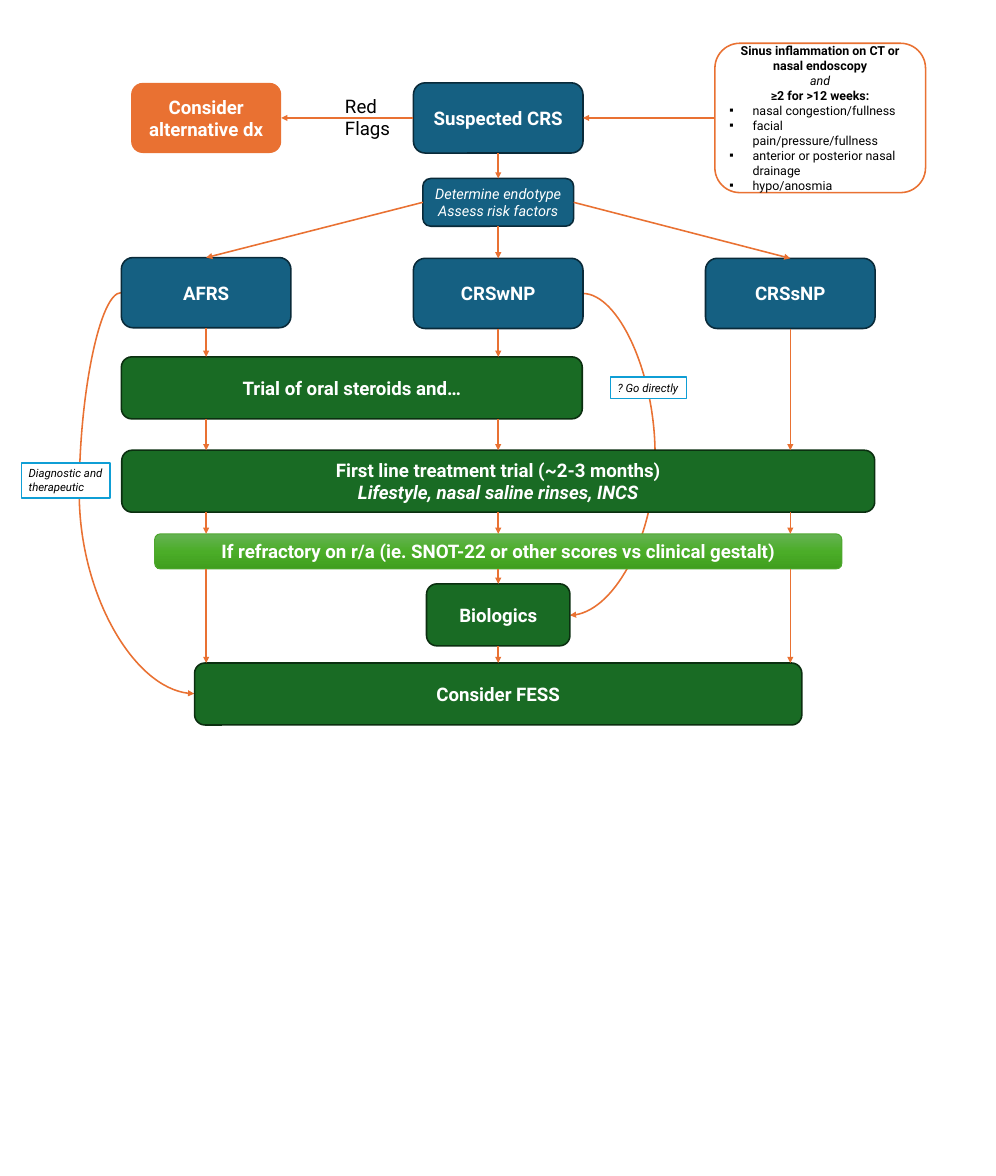
from copy import deepcopy

from pptx import Presentation
from pptx import util as u
from pptx.dml.color import RGBColor
from pptx.enum import shapes, text
from pptx.oxml.ns import qn
from pptx.oxml.xmlchemy import OxmlElement

COLOURS = {
    "white": "FFFFFF", "black": "000000", "orange": "E97132",
    "blue": "156082", "navy": "092A39", "green": "196B24",
    "forest": "0B2F10", "lime": "4EA72E", "sky": "0F9ED5",
    "gradient top": "66B354", "gradient middle": "4BAD28", "gradient bottom": "409F1E",
}
LEFT, CENTRE, RIGHT = 2.76, 6.67, 10.58
TOP_SIDE, LEFT_SIDE, BOTTOM_SIDE, RIGHT_SIDE = range(4)


def rgb(name):
    return RGBColor.from_string(COLOURS[name])


def add_child(parent, tag, **attributes):
    child = OxmlElement(tag)
    for key, value in attributes.items():
        child.set(key, str(value))
    parent.append(child)
    return child


def write(shape, lines, size=18, colour="white", bold=False, italic=False, centred=True):
    frame = shape.text_frame
    frame.word_wrap = True
    for index, line in enumerate(lines):
        words, style = line if isinstance(line, tuple) else (line, {})
        para = frame.paragraphs[0] if index == 0 else frame.add_paragraph()
        bullet = style.get("bullet", False)
        centre = centred and not bullet
        para.alignment = text.PP_ALIGN.CENTER if centre else text.PP_ALIGN.LEFT
        if bullet:
            properties = para._p.get_or_add_pPr()
            properties.set("marL", str(u.Inches(0.31)))
            properties.set("indent", str(-u.Inches(0.31)))
            add_child(properties, "a:buFont", typeface="Arial")
            add_child(properties, "a:buChar", char="▪")
        span = para.add_run()
        span.text = words
        span.font.name = "Roboto"
        span.font.size = u.Pt(size)
        span.font.bold = style.get("bold", bold)
        span.font.italic = style.get("italic", italic)
        span.font.color.rgb = rgb(colour)


def add_box(slide, centre, top, width, height, lines, fill, outline=None,
            rounded=True, line_width=1.5, **style):
    kind = shapes.MSO_SHAPE.ROUNDED_RECTANGLE if rounded else shapes.MSO_SHAPE.RECTANGLE
    box = slide.shapes.add_shape(kind, u.Inches(centre - width / 2), u.Inches(top),
                                 u.Inches(width), u.Inches(height))
    box.shadow.inherit = False
    box.fill.solid()
    box.fill.fore_color.rgb = rgb(fill)
    if outline:
        box.line.color.rgb = rgb(outline)
        box.line.width = u.Pt(line_width)
    else:
        box.line.fill.background()
    box.text_frame.vertical_anchor = text.MSO_ANCHOR.MIDDLE
    write(box, lines, **style)
    return box


def add_label(slide, centre, top, width, height, words):
    label = add_box(slide, centre, top, width, height, [words], "white", "sky",
                    rounded=False, size=11, colour="black", italic=True, centred=False)
    label.text_frame.vertical_anchor = text.MSO_ANCHOR.TOP


def add_gradient(box):
    box.fill.gradient()
    box.fill.gradient_angle = 270
    stop_list = box._element.spPr.find(qn("a:gradFill")).find(qn("a:gsLst"))
    stop_list.insert(1, deepcopy(stop_list[0]))
    names = ("gradient top", "gradient middle", "gradient bottom")
    for stop, name, position in zip(box.fill.gradient_stops, names, (0, 0.5, 1)):
        stop.color.rgb = rgb(name)
        stop.position = position


def add_arrow(slide, start, end, kind=shapes.MSO_CONNECTOR.STRAIGHT):
    arrow = slide.shapes.add_connector(kind, *(u.Inches(v) for v in (*start, *end)))
    arrow.line.color.rgb = rgb("orange")
    arrow.line.width = u.Pt(1.5)
    add_child(arrow.line._get_or_add_ln(), "a:tailEnd", type="triangle")
    add_child(arrow._element.spPr, "a:effectLst")
    return arrow


def add_curve(slide, start, end, bulge):
    curve = add_arrow(slide, start, end, shapes.MSO_CONNECTOR.CURVE)
    ratio = (bulge - start[0]) / (end[0] - start[0])
    guides = curve._element.spPr.find(qn("a:prstGeom")).get_or_add_avLst()
    add_child(guides, "a:gd", name="adj1", fmla=f"val {round(ratio * 100000)}")


def join(slide, source, source_side, target, target_side):
    arrow = add_arrow(slide, (0, 0), (1, 1))
    arrow.begin_connect(source, source_side)
    arrow.end_connect(target, target_side)


def drop(slide, column, upper, lower):
    bottom = u.Emu(upper.top + upper.height).inches
    arrow = add_arrow(slide, (column, bottom), (column, lower.top.inches))
    for box, connect, side in ((upper, arrow.begin_connect, BOTTOM_SIDE),
                               (lower, arrow.end_connect, TOP_SIDE)):
        if abs(u.Emu(box.left + box.width // 2).inches - column) < 0.02:
            connect(box, side)


def main():
    deck = Presentation()
    deck.slide_width = u.Inches(40 / 3)
    deck.slide_height = u.Inches(15.75)
    slide = deck.slides.add_slide(deck.slide_layouts[6])

    add_curve(slide, (7.8, 3.93), (7.63, 8.24), 8.77)
    add_curve(slide, (1.62, 3.92), (2.6, 9.29), 1.06)

    blue = {"fill": "blue", "outline": "navy"}
    green = {"fill": "green", "outline": "forest", "bold": True}

    suspected = add_box(slide, CENTRE, 1.11, 2.27, 0.94, ["Suspected CRS"], bold=True, **blue)
    criteria = add_box(slide, 10.98, 0.58, 2.82, 2, [
        ("Sinus inflammation on CT or nasal endoscopy", {"bold": True}),
        ("and", {"italic": True}),
        ("≥2 for >12 weeks:", {"bold": True}),
        *((symptom, {"bullet": True}) for symptom in (
            "nasal congestion/fullness", "facial pain/pressure/fullness",
            "anterior or posterior nasal drainage", "hypo/anosmia")),
    ], "white", "orange", size=12, colour="black")
    alternative = add_box(slide, LEFT, 1.11, 2.01, 0.94, ["Consider alternative dx"],
                          "orange", bold=True)
    endotype = add_box(slide, CENTRE, 2.39, 2.02, 0.64,
                       ["Determine endotype", "Assess risk factors"],
                       size=14, italic=True, **blue)
    afrs, with_polyps, without_polyps = (
        add_box(slide, column, top, 2.27, 0.94, [name], bold=True, **blue)
        for column, top, name in ((LEFT, 3.45, "AFRS"), (CENTRE, 3.46, "CRSwNP"),
                                  (RIGHT, 3.46, "CRSsNP")))

    steroids = add_box(slide, 4.71, 4.78, 6.17, 0.83, ["Trial of oral steroids and…"], **green)
    first_line = add_box(slide, CENTRE, 6.03, 10.08, 0.83, [
        "First line treatment trial (~2-3 months)",
        ("Lifestyle, nasal saline rinses, INCS", {"italic": True})], **green)
    refractory = add_box(
        slide, CENTRE, 7.15, 9.2, 0.47,
        ["If refractory on r/a (ie. SNOT-22 or other scores vs clinical gestalt)"],
        "lime", "lime", line_width=1, bold=True)
    add_gradient(refractory)
    biologics = add_box(slide, CENTRE, 7.82, 1.92, 0.83, ["Biologics"], **green)
    surgery = add_box(slide, CENTRE, 8.88, 8.13, 0.83, ["Consider FESS"], **green)

    join(slide, suspected, LEFT_SIDE, alternative, RIGHT_SIDE)
    join(slide, criteria, LEFT_SIDE, suspected, RIGHT_SIDE)
    join(slide, endotype, RIGHT_SIDE, without_polyps, TOP_SIDE)
    join(slide, endotype, LEFT_SIDE, afrs, TOP_SIDE)

    pathways = {
        LEFT: (afrs, steroids, first_line, refractory, surgery),
        CENTRE: (suspected, endotype, with_polyps, steroids, first_line,
                 refractory, biologics, surgery),
        RIGHT: (without_polyps, first_line, refractory, surgery),
    }
    for column, steps in pathways.items():
        for upper, lower in zip(steps, steps[1:]):
            drop(slide, column, upper, lower)

    red_flags = slide.shapes.add_textbox(*(u.Inches(v) for v in (4.52, 1.22, 0.92, 0.71)))
    write(red_flags, ["Red", "Flags"], colour="black", centred=False)
    add_label(slide, 8.68, 5.05, 1.02, 0.29, "? Go directly")
    add_label(slide, 0.88, 6.2, 1.19, 0.47, "Diagnostic and therapeutic")

    deck.save("out.pptx")


if __name__ == "__main__":
    main()
